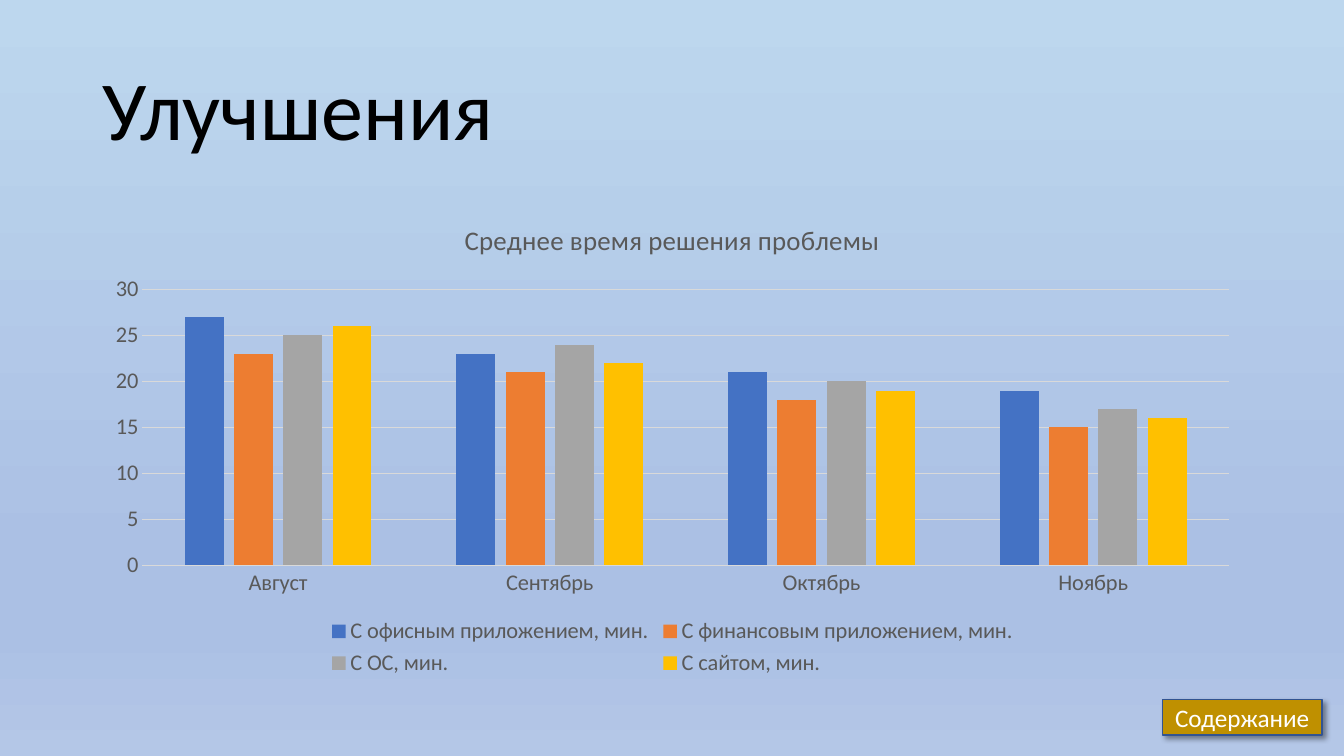
"""Build the slide with the chart of average problem-solving times."""
from dataclasses import dataclass

from pptx import Presentation
from pptx.chart.chart import Chart
from pptx.chart.data import CategoryChartData
from pptx.dml.color import RGBColor
from pptx.enum.chart import XL_CHART_TYPE as ChartType
from pptx.enum.chart import XL_LEGEND_POSITION as LegendPosition
from pptx.enum.chart import XL_TICK_MARK as TickMark
from pptx.enum.shapes import MSO_SHAPE as Preset
from pptx.enum.text import MSO_ANCHOR as Anchor
from pptx.enum.text import PP_ALIGN as Align
from pptx.oxml import parse_xml
from pptx.oxml.ns import nsdecls
from pptx.slide import Slide
from pptx.text.text import Font, TextFrame
from pptx.util import Inches, Pt

FONT = "Calibri"
COLORS = {
    "title": "000000",
    "label": "595959",
    "grid": "D9D9D9",
    "button": "BF9000",
    "button_line": "325491",
    "button_text": "FFFFFF",
    "shadow": "000000",
    "office": "4472C4",
    "finance": "ED7D31",
    "system": "A5A5A5",
    "site": "FFC000",
}
BACKGROUND_STOPS = {0: "BDD7EE", 74: "ABC0E4", 83: "ABC0E4", 100: "B4C7E7"}
MONTHS = ("Август", "Сентябрь", "Октябрь", "Ноябрь")


@dataclass(frozen=True)
class ProblemTimes:
    name: str
    minutes: tuple[int, ...]
    color: str


PROBLEMS = (
    ProblemTimes("С офисным приложением, мин.", (27, 23, 21, 19), "office"),
    ProblemTimes("С финансовым приложением, мин.", (23, 21, 18, 15), "finance"),
    ProblemTimes("С ОС, мин.", (25, 24, 20, 17), "system"),
    ProblemTimes("С сайтом, мин.", (26, 22, 19, 16), "site"),
)


def rgb(name: str) -> RGBColor:
    return RGBColor.from_string(COLORS[name])


def style_font(font: Font, size: float, color: str) -> None:
    font.name = FONT
    font.size = Pt(size)
    font.bold = False
    font.color.rgb = rgb(color)


def write_text(frame: TextFrame, text: str, *, size: float, color: str,
               align: Align = Align.LEFT, spacing: float = 1.0) -> None:
    para = frame.paragraphs[0]
    para.alignment = align
    para.line_spacing = spacing
    span = para.add_run()
    span.text = text
    style_font(span.font, size, color)


def paint_background(page: Slide) -> None:
    stops = "".join(
        f'<a:gs pos="{percent * 1000}"><a:srgbClr val="{color}"/></a:gs>'
        for percent, color in BACKGROUND_STOPS.items()
    )
    page.element.cSld.insert(0, parse_xml(
        f'<p:bg {nsdecls("p", "a")}><p:bgPr><a:gradFill rotWithShape="1">'
        f'<a:gsLst>{stops}</a:gsLst><a:lin ang="5400000" scaled="0"/>'
        '</a:gradFill><a:effectLst/></p:bgPr></p:bg>'
    ))


def add_title(page: Slide) -> None:
    box = page.shapes.add_textbox(Inches(0.92), Inches(0.4), Inches(10.96), Inches(1.45))
    frame = box.text_frame
    frame.word_wrap = True
    frame.vertical_anchor = Anchor.MIDDLE
    write_text(frame, "Улучшения", size=60, color="title", spacing=0.9)


def style_axes(chart: Chart) -> None:
    for axis in (chart.category_axis, chart.value_axis):
        axis.major_tick_mark = axis.minor_tick_mark = TickMark.NONE
        style_font(axis.tick_labels.font, 16, "label")
    chart.value_axis.minimum_scale = 0
    chart.value_axis.maximum_scale = 30
    chart.value_axis.major_unit = 5
    chart.value_axis.format.line.fill.background()
    grid = chart.value_axis.major_gridlines
    for line in (chart.category_axis.format.line, grid.format.line):
        line.color.rgb = rgb("grid")
        line.width = Pt(0.75)


def add_times_chart(page: Slide) -> None:
    times = CategoryChartData(number_format="General")
    times.categories = MONTHS
    for problem in PROBLEMS:
        times.add_series(problem.name, problem.minutes)
    chart = page.shapes.add_chart(
        ChartType.COLUMN_CLUSTERED, Inches(0.92), Inches(2), Inches(11.5), Inches(4.76), times
    ).chart
    style_font(chart.font, 16, "title")
    write_text(chart.chart_title.text_frame, "Среднее время решения проблемы",
               size=19.2, color="label", align=Align.CENTER)
    chart.chart_title.include_in_layout = False
    chart.has_legend = True
    chart.legend.position = LegendPosition.BOTTOM
    chart.legend.include_in_layout = False
    style_font(chart.legend.font, 16, "label")
    style_axes(chart)
    plot = chart.plots[0]
    plot.gap_width = 219
    plot.overlap = -27
    plot.vary_by_categories = False
    for series, problem in zip(plot.series, PROBLEMS):
        series.invert_if_negative = False
        series.format.fill.solid()
        series.format.fill.fore_color.rgb = rgb(problem.color)


def add_contents_button(page: Slide) -> None:
    button = page.shapes.add_shape(
        Preset.ACTION_BUTTON_CUSTOM, Inches(11.53), Inches(6.94), Inches(1.58), Inches(0.35)
    )
    button.fill.solid()
    button.fill.fore_color.rgb = rgb("button")
    button.line.color.rgb = rgb("button_line")
    button.line.width = Pt(1)
    button.shadow.inherit = False
    effects = button.element.spPr.find(
        "{http://schemas.openxmlformats.org/drawingml/2006/main}effectLst"
    )
    effects.append(parse_xml(
        f'<a:outerShdw {nsdecls("a")} blurRad="{Pt(4)}" dist="{Pt(3)}" dir="2700000" '
        f'algn="tl" rotWithShape="0"><a:srgbClr val="{COLORS["shadow"]}">'
        '<a:alpha val="40000"/></a:srgbClr></a:outerShdw>'
    ))
    frame = button.text_frame
    frame.word_wrap = True
    frame.vertical_anchor = Anchor.MIDDLE
    write_text(frame, "Содержание", size=18, color="button_text", align=Align.CENTER)


def main() -> None:
    deck = Presentation()
    deck.slide_width = Inches(13.33)
    deck.slide_height = Inches(7.5)
    page = deck.slides.add_slide(deck.slide_layouts[6])
    paint_background(page)
    add_title(page)
    add_times_chart(page)
    add_contents_button(page)
    deck.save("out.pptx")


if __name__ == "__main__":
    main()
